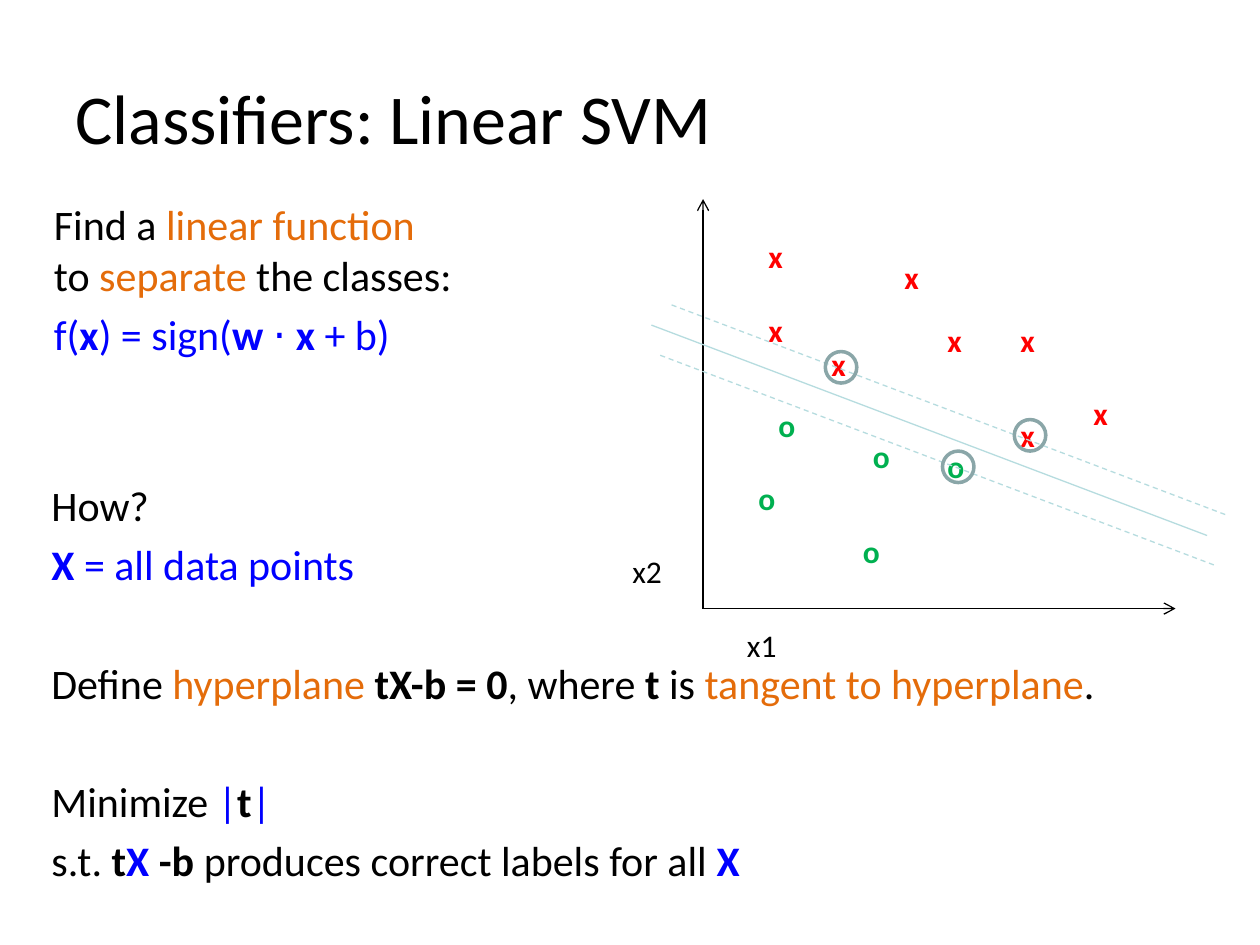
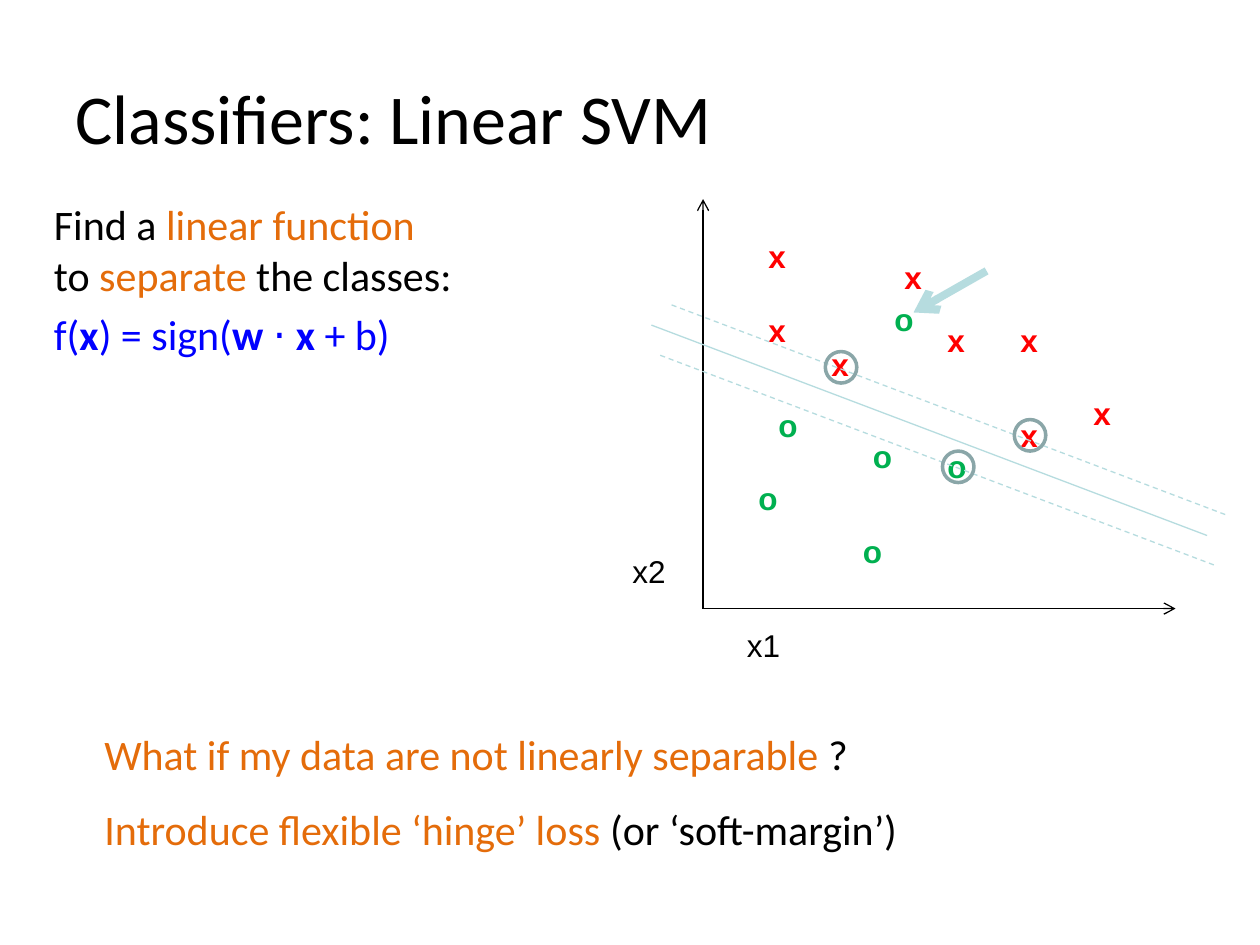
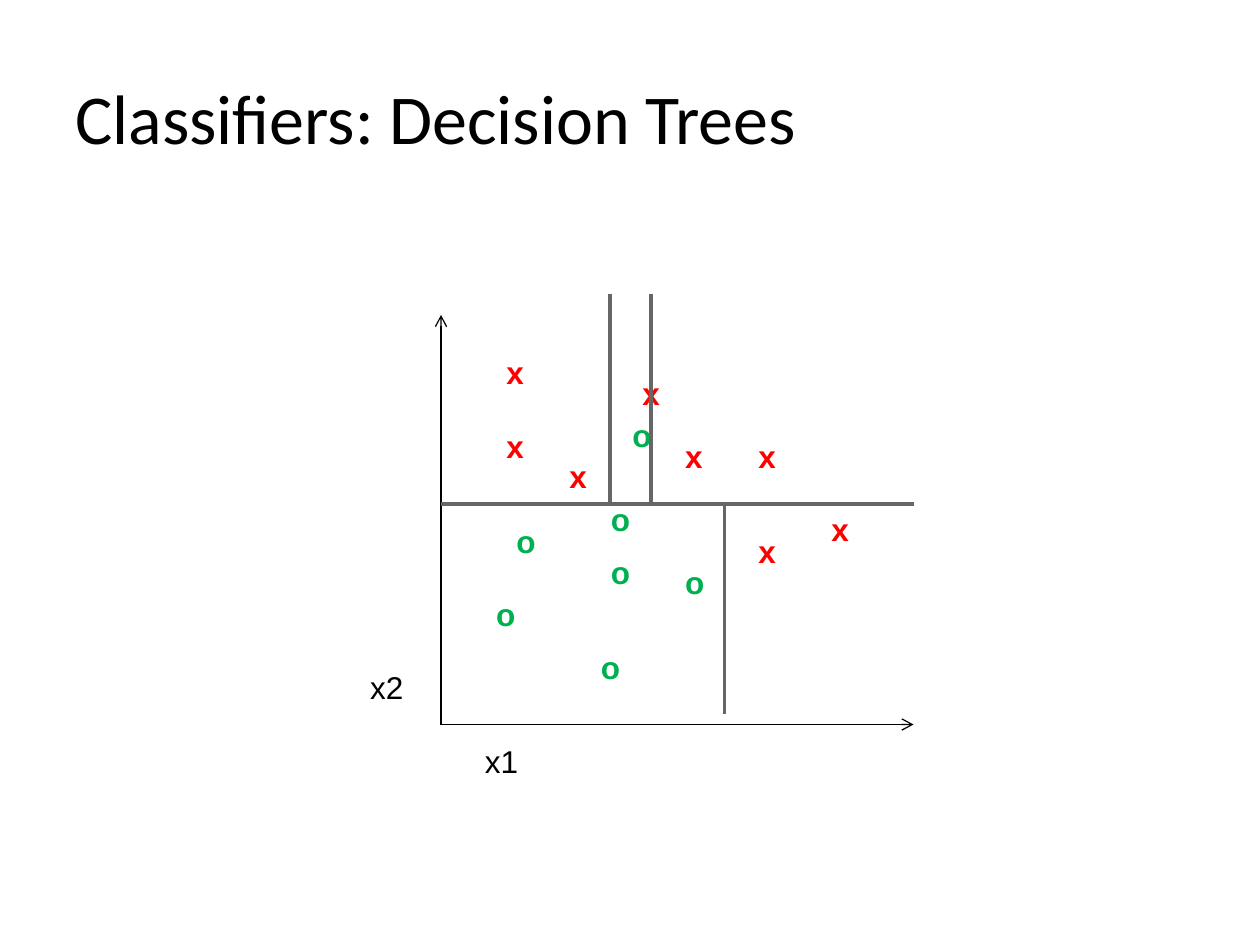
from lxml import etree
from pptx import Presentation
from pptx.dml.color import RGBColor
from pptx.enum import dml, shapes, text
from pptx.oxml import ns
from pptx.util import Inches, Pt

COLOURS = {
    "ink": "000000", "orange": "E46C0A", "blue": "0000FF", "red": "FF0000",
    "green": "00B050", "teal": "B6DCDF", "ring": "8AA6A8", "grey": "666666",
}
# Text style: colour and bold
STYLES = {
    "plain": ("ink", False), "strong": ("ink", True), "key": ("orange", False),
    "math": ("blue", False), "vector": ("blue", True),
}
BODY_SIZE = 24
BODY_GAP = 4.8
BLANK_LINE_GAP = 38.9

# Positions inside a plot are measured from the tip of its vertical axis.
AXIS_WIDTH, AXIS_HEIGHT = 3.75, 3.25
CROSSES = [(1.84, 0.92), (2.42, 0.92), (2.42, 1.67), (3, 1.5),
           (0.42, 0.25), (0.42, 0.84), (1.5, 0.42)]
NOUGHTS = [(1.84, 1.92), (0.34, 2.17), (0.5, 1.59), (1.17, 2.59), (1.25, 1.84)]
OUTLIER = (1.42, 0.75)
LABELS = {"x2": (-0.66, 2.75), "x1": (0.25, 3.34)}
LABEL_WIDTHS = {
    "Calibri": {"x": 0.32, "o": 0.34, "x1": 0.44, "x2": 0.44},
    "Arial": {"x": 0.34, "o": 0.36, "x1": 0.47, "x2": 0.47},
}
BOUNDARY = ((-0.41, 1), (4, 2.67))
MARGIN_SHIFTS = [(0.16, -0.16), (0.07, 0.24)]
SUPPORT_VECTORS = [(0.97, 1.21), (2.47, 1.75), (1.9, 2)]
SPLITS = [((0, 1.5), (3.75, 1.5)), ((2.25, 1.5), (2.25, 3.17)),
          ((1.34, -0.17), (1.34, 1.5)), ((1.67, -0.17), (1.67, 1.5))]
SVM_PLOT = (5.58, 1.58)
TREE_PLOT = (3.5, 2.5)


def colour(name):
    return RGBColor.from_string(COLOURS[name])


def add_box(page, left, top, width, height):
    box = page.shapes.add_textbox(*map(Inches, (left, top, width, height)))
    box.text_frame.word_wrap = True
    return box


def set_font(font, name, size, tint="ink", bold=False):
    font.name, font.size, font.bold = name, Pt(size), bold
    font.color.rgb = colour(tint)


def add_title(page, words):
    frame = add_box(page, 0.5, 0.3, 9, 1.25).text_frame
    frame.vertical_anchor = text.MSO_ANCHOR.MIDDLE
    frame.text = words
    set_font(frame.paragraphs[0].font, "Calibri", 40)


def add_body(page, area, paragraphs):
    """Each paragraph is a gap before it and a list of (words, style) spans."""
    frame = add_box(page, *area).text_frame
    for index, (gap, spans) in enumerate(paragraphs):
        para = frame.paragraphs[0] if index == 0 else frame.add_paragraph()
        para.space_before = Pt(gap)
        para.font.name, para.font.size = "Calibri", Pt(BODY_SIZE)
        for words, style in spans:
            if words == "\n":
                para.add_line_break()
                continue
            span = para.add_run()
            span.text = words
            tint, span.font.bold = STYLES[style]
            span.font.color.rgb = colour(tint)


def add_label(page, origin, place, words, font, tint="ink", bold=False):
    box = add_box(page, origin[0] + place[0], origin[1] + place[1],
                  LABEL_WIDTHS[font][words], 0.4)
    frame = box.text_frame
    frame.word_wrap = False
    frame.auto_size = text.MSO_AUTO_SIZE.SHAPE_TO_FIT_TEXT
    frame.text = words
    set_font(frame.paragraphs[0].font, font, 18, tint, bold)


def add_line(page, origin, start, end, tint, weight, dashed=False, arrow=False):
    ends = [Inches(base + step) for point in (start, end)
            for base, step in zip(origin, point)]
    line = page.shapes.add_connector(shapes.MSO_CONNECTOR.STRAIGHT, *ends)
    line.line.color.rgb = colour(tint)
    line.line.width = Pt(weight)
    if dashed:
        line.line.dash_style = dml.MSO_LINE.DASH
    if arrow:
        head = etree.SubElement(line.line._get_or_add_ln(), ns.qn("a:tailEnd"))
        head.set("type", "arrow")
    etree.SubElement(line._element.spPr, ns.qn("a:effectLst"))


def add_scatter(page, origin, font, crosses, noughts):
    for mark, tint, places in (("x", "red", crosses), ("o", "green", noughts)):
        for place in places:
            add_label(page, origin, place, mark, font, tint, bold=True)
    corner = (0, AXIS_HEIGHT)
    for tip in ((0, 0), (AXIS_WIDTH, AXIS_HEIGHT)):
        add_line(page, origin, corner, tip, "ink", 0.75, arrow=True)
    for words, place in LABELS.items():
        add_label(page, origin, place, words, font)


def add_separator(page, origin):
    """Boundary, its two margins, and rings around the support vectors."""
    add_line(page, origin, *BOUNDARY, "teal", 0.75)
    for across, down in MARGIN_SHIFTS:
        start, end = [(x + across, y + down) for x, y in BOUNDARY]
        add_line(page, origin, start, end, "teal", 0.75, dashed=True)
    for left, top in SUPPORT_VECTORS:
        ring = page.shapes.add_shape(
            shapes.MSO_SHAPE.OVAL, Inches(origin[0] + left),
            Inches(origin[1] + top), Inches(0.25), Inches(0.25))
        ring.shadow.inherit = False
        ring.fill.background()
        ring.line.color.rgb = colour("ring")
        ring.line.width = Pt(2)


def add_svm_page(deck, font, extra_noughts=()):
    page = add_page(deck, "Classifiers: Linear SVM")
    add_scatter(page, SVM_PLOT, font, [*CROSSES, (0.92, 1.11)],
                [*NOUGHTS, *extra_noughts])
    add_separator(page, SVM_PLOT)
    add_body(page, (0.33, 1.53, 4.43, 1.98), [
        (BODY_GAP, [("Find a ", "plain"), ("linear function ", "key"), ("\n", "plain"),
                    ("to ", "plain"), ("separate", "key"), (" the classes:", "plain")]),
        (BODY_GAP, [("f(", "math"), ("x", "vector"), (") = sign(", "math"),
                    ("w ", "vector"), ("⋅ ", "math"), ("x ", "vector"),
                    ("+ b)", "math")]),
    ])
    return page


def add_page(deck, title):
    page = deck.slides.add_slide(deck.slide_layouts[6])
    add_title(page, title)
    return page


def build_hyperplane_page(deck):
    page = add_svm_page(deck, "Calibri")
    add_body(page, (0.31, 3.76, 9.5, 3.59), [
        (BODY_GAP, [("How?", "plain")]),
        (BODY_GAP, [("X ", "vector"), ("= all data points", "math")]),
        (BLANK_LINE_GAP, [("Define ", "plain"), ("hyperplane ", "key"),
                          ("tX-b = 0", "strong"), (", where ", "plain"),
                          ("t ", "strong"), ("is ", "plain"),
                          ("tangent to hyperplane", "key"), (".", "plain")]),
        (BLANK_LINE_GAP, [("Minimize ", "plain"), ("|", "math"), ("t", "strong"),
                          ("|", "math")]),
        (BODY_GAP, [("s.t. ", "plain"), ("t", "strong"), ("X ", "vector"),
                    ("-b ", "strong"), ("produces correct labels for all ", "plain"),
                    ("X", "vector")]),
    ])


def build_soft_margin_page(deck):
    page = add_svm_page(deck, "Arial", [OUTLIER])
    add_line(page, SVM_PLOT, (2.25, 0.57), (1.67, 0.9), "teal", 4.5, arrow=True)
    add_body(page, (0.73, 5.73, 6.74, 1.18), [
        (BODY_GAP, [("What if my data are not linearly separable ", "key"),
                    ("?", "plain")])])
    add_body(page, (0.73, 6.33, 8.24, 0.92), [
        (BODY_GAP, [("Introduce flexible ‘hinge’ loss ", "key"),
                    ("(or ‘soft-margin’)", "plain")])])


def build_tree_page(deck):
    page = add_page(deck, "Classifiers: Decision Trees")
    add_scatter(page, TREE_PLOT, "Arial", [*CROSSES, (0.92, 1.08)],
                [*NOUGHTS, OUTLIER, (1.25, 1.42)])
    for start, end in SPLITS:
        add_line(page, TREE_PLOT, start, end, "grey", 2.25)


def main():
    deck = Presentation()
    deck.slide_width, deck.slide_height = Inches(10), Inches(7.5)
    build_hyperplane_page(deck)
    build_soft_margin_page(deck)
    build_tree_page(deck)
    deck.save("out.pptx")


if __name__ == "__main__":
    main()
